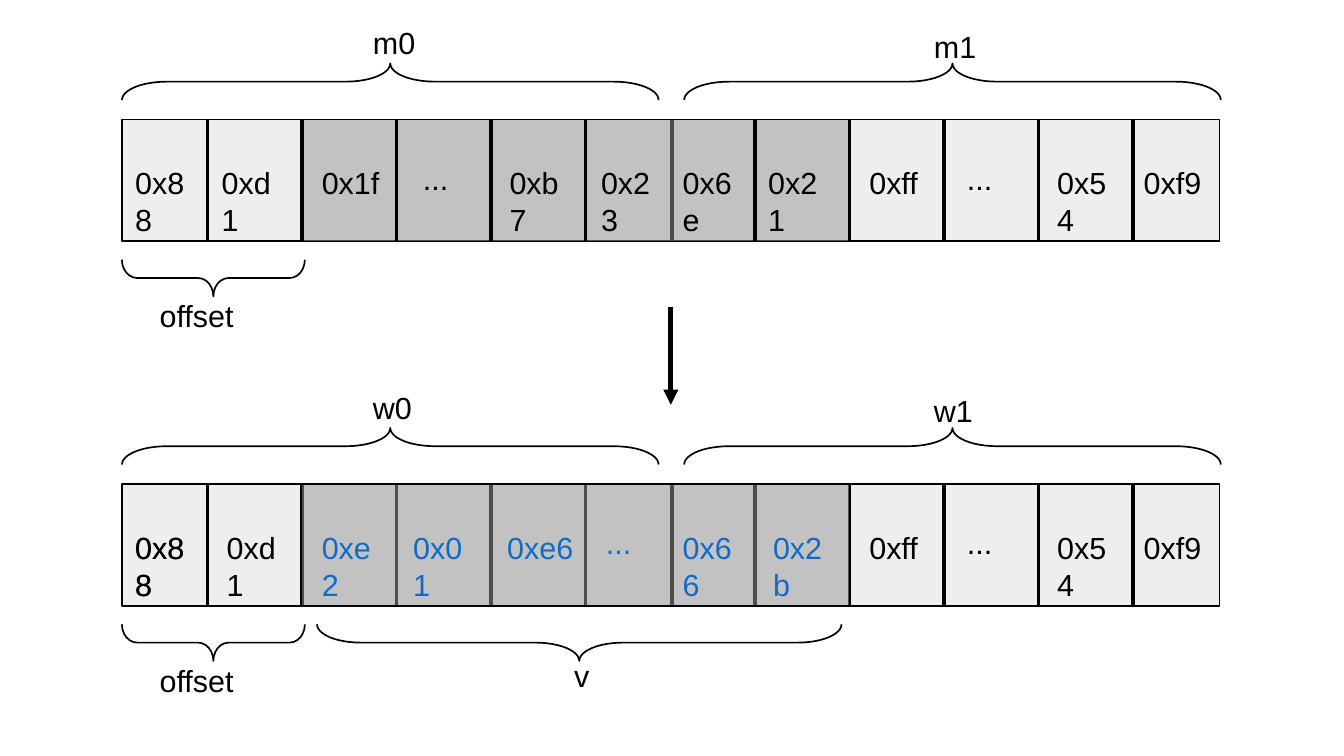
from lxml import etree
from pptx import Presentation
from pptx import util as u
from pptx.dml.color import RGBColor
from pptx.enum import shapes, text
from pptx.oxml.ns import qn

BLACK = RGBColor(0x00, 0x00, 0x00)
BLUE = RGBColor(0x12, 0x6A, 0xC8)
LIGHT = RGBColor(0xEE, 0xEE, 0xEE)
DARK = RGBColor(0x99, 0x99, 0x99)

ROW_W, ROW_H = 9, 1
PITCH = 3.1 / 4
# Cell borders, measured from the left end of a row
BORDERS = ([0.7 + PITCH * i for i in range(5)] + [4.51]
           + [5.19 + PITCH * i for i in range(5)])
BAND_LEFT, BAND_W = BORDERS[1], 4.49

# Cell texts with their left edges in the row
TAIL = [(6.03, "0xff"), (6.83, "..."), (7.57, "0x54"), (8.28, "0xf9")]
MESSAGE = [(0.01, "0x88"), (0.72, "0xd1"), (1.54, "0x1f"), (2.37, "..."),
           (3.08, "0xb7"), (3.83, "0x23"), (4.5, "0x6e"), (5.2, "0x21")] + TAIL
WRITTEN = [(0.01, "0x88"), (0.01, "0x88"), (0.76, "0xd1")] + TAIL
VALUE = [(1.54, "0xe2"), (2.29, "0x01"), (3.06, "0xe6"), (3.87, "..."),
         (4.5, "0x66"), (5.24, "0x2b")]


def add_label(s, left, top, width, words, color=BLACK):
    box = s.shapes.add_textbox(u.Inches(left), u.Inches(top),
                               u.Inches(width), u.Inches(0.44))
    tf = box.text_frame
    tf.word_wrap = True
    tf.auto_size = text.MSO_AUTO_SIZE.SHAPE_TO_FIT_TEXT
    tf.text = words
    font = tf.paragraphs[0].runs[0].font
    font.name, font.size, font.color.rgb = "Arial", u.Pt(18), color


def add_line(s, x1, y1, x2, y2, weight=0):
    line = s.shapes.add_connector(shapes.MSO_CONNECTOR.STRAIGHT, u.Inches(x1),
                                  u.Inches(y1), u.Inches(x2), u.Inches(y2))
    line.line.color.rgb = BLACK
    line.line.width = u.Pt(weight)
    etree.SubElement(line._element.spPr, qn("a:effectLst"))
    return line


def add_bar(s, left, top, width, fill, weight):
    bar = s.shapes.add_shape(shapes.MSO_SHAPE.RECTANGLE, u.Inches(left),
                             u.Inches(top), u.Inches(width), u.Inches(ROW_H))
    bar.shadow.inherit = False
    bar.fill.solid()
    bar.fill.fore_color.rgb = fill
    bar.line.color.rgb = BLACK
    bar.line.width = u.Pt(weight)
    return bar


def add_brace(s, left, top, length, rotation):
    """Lay a brace along the box; 90 points up, 270 points down."""
    depth = 0.3
    brace = s.shapes.add_shape(
        shapes.MSO_SHAPE.LEFT_BRACE,
        u.Inches(left + (length - depth) / 2), u.Inches(top - (length - depth) / 2),
        u.Inches(depth), u.Inches(length))
    brace.rotation = rotation
    brace.adjustments[0] = length / 12 / depth
    brace.shadow.inherit = False
    brace.fill.background()
    brace.line.color.rgb = BLACK
    brace.line.width = u.Pt(1)


def add_row(s, left, top, below, black_cells, blue_cells=()):
    """Draw a row of bytes; borders numbered in below lie under the dark band."""
    def add_borders(numbers):
        for i in numbers:
            x = left + BORDERS[i]
            add_line(s, x, top, x, top + ROW_H)

    add_bar(s, left, top, ROW_W, LIGHT, 1)
    add_borders(below)
    band = add_bar(s, left + BAND_LEFT, top, BAND_W, DARK, 0)
    color = band._element.spPr.find(qn("a:solidFill")).find(qn("a:srgbClr"))
    etree.SubElement(color, qn("a:alpha"), val="51000")
    add_borders(i for i in range(len(BORDERS)) if i not in below)

    for cells, ink in ((black_cells, BLACK), (blue_cells, BLUE)):
        for x, word in cells:
            y = top + (0.28 if word == "..." else 0.32)
            add_label(s, left + x, y, 0.78 if word == "0xe6" else 0.7, word, ink)


def add_braces(s, left, top, first, second):
    """Name both halves above the row and the offset below it."""
    add_brace(s, left, top - 0.46, 4.4, 90)
    add_brace(s, left + 4.61, top - 0.46, 4.4, 90)
    add_brace(s, left, top + 1.15, 1.5, 270)
    add_label(s, left + 1.96, top - 0.83, 0.78, first)
    add_label(s, left + 6.56, top - 0.8, 0.78, second)
    add_label(s, left + 0.21, top + 1.41, 1.18, "offset")


def add_value_brace(s, left, top):
    add_brace(s, left + 1.6, top + 1.15, 4.3, 270)
    add_label(s, left + 3.61, top + 1.37, 0.78, "v")


def add_arrow(s, x, top, length):
    arrow = add_line(s, x, top, x, top + length, 3)
    etree.SubElement(arrow.line._get_or_add_ln(), qn("a:tailEnd"), type="triangle")


def main():
    prs = Presentation()
    prs.slide_width, prs.slide_height = u.Inches(11.02), u.Inches(6.2)
    s = prs.slides.add_slide(prs.slide_layouts[6])
    left, message_top, written_top = 1, 0.98, 3.97

    # Bytes before the write
    add_row(s, left, message_top, (0, 5), MESSAGE)
    add_braces(s, left, message_top, "m0", "m1")

    # Step from one state to the next
    add_arrow(s, 5.5, 2.52, 0.8)

    # Bytes after the write
    add_row(s, left, written_top, range(8), WRITTEN, VALUE)
    add_braces(s, left, written_top, "w0", "w1")
    add_value_brace(s, left, written_top)

    prs.save("out.pptx")


if __name__ == "__main__":
    main()
